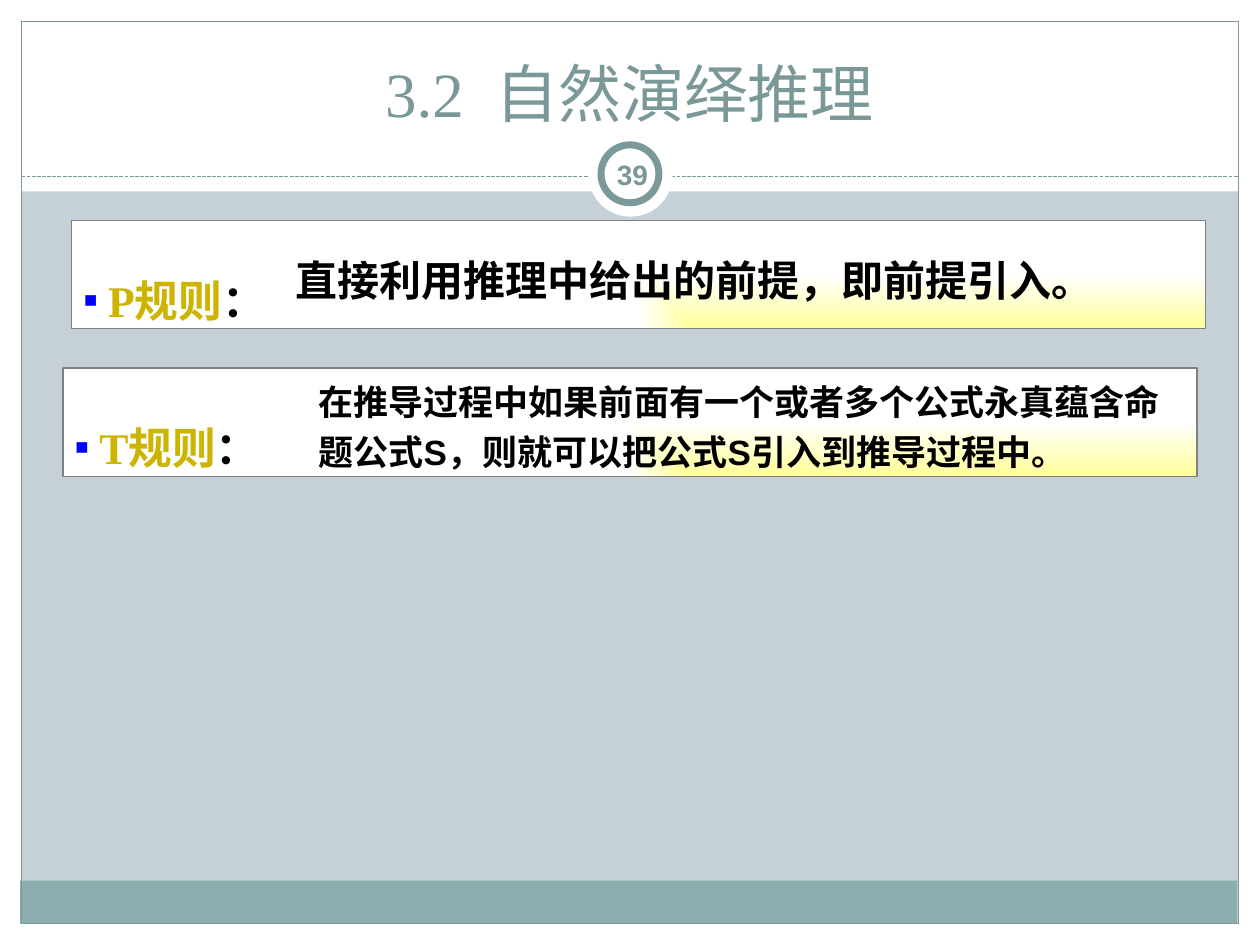
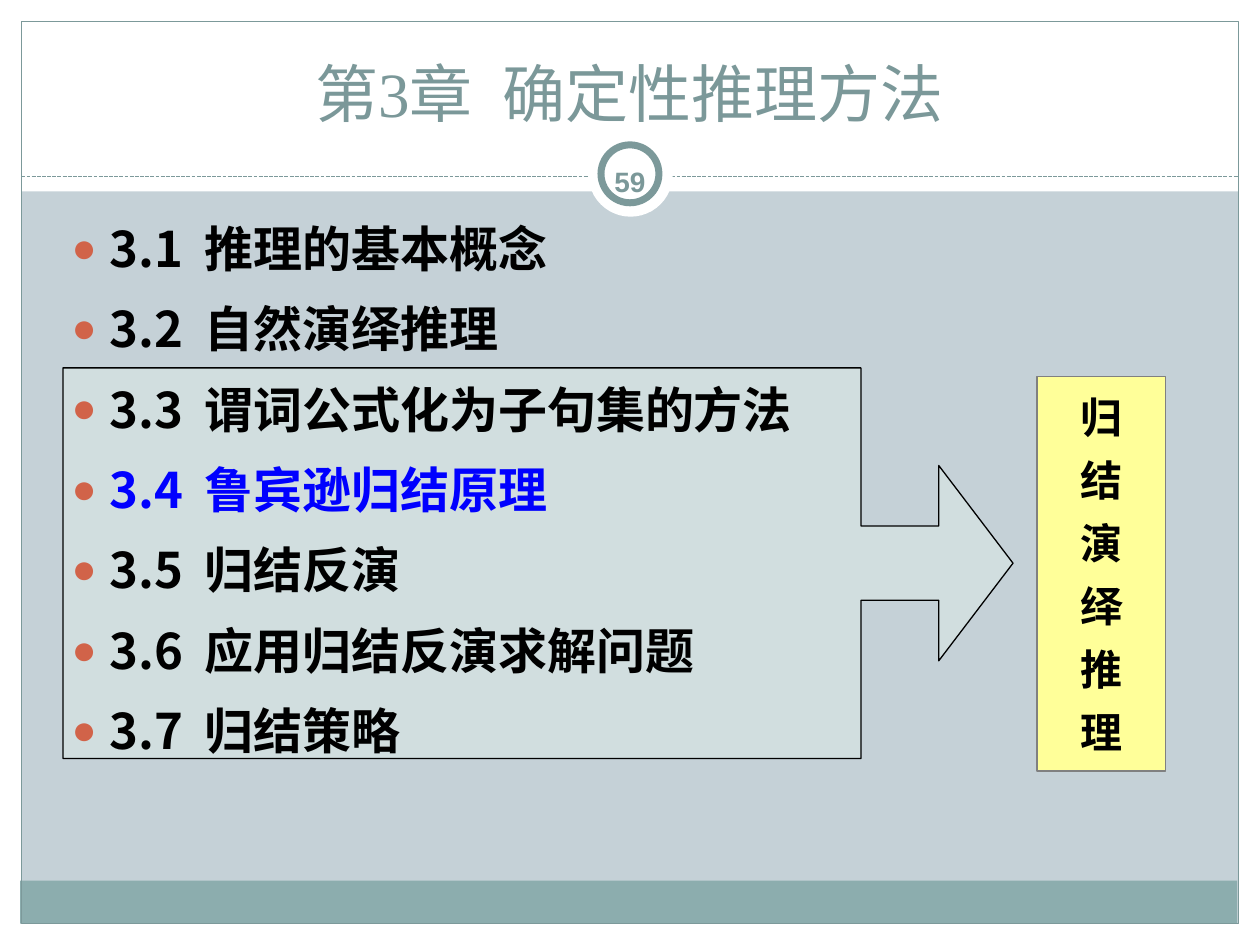
import pptx
import pptx.util
import pptx.dml.color
import pptx.enum.dml
import pptx.enum.shapes
import pptx.enum.text
import pptx.oxml.ns
from lxml import etree

RGB = pptx.dml.color.RGBColor
SHAPE = pptx.enum.shapes.MSO_SHAPE
ALIGN = pptx.enum.text.PP_ALIGN
ANCHOR = pptx.enum.text.MSO_ANCHOR
Pt = pptx.util.Pt
qn = pptx.oxml.ns.qn

PX = 9144  # EMU in one px, 100 px to the inch
WHITE = RGB(0xFF, 0xFF, 0xFF)
BLACK = RGB(0, 0, 0)
BLUE = RGB(0, 0, 0xFF)
GREY = RGB(0x80, 0x80, 0x80)
BACKDROP = RGB(0xC5, 0xD1, 0xD7)
BAND = RGB(0x8C, 0xAD, 0xAE)
FRAME = RGB(0x7C, 0x99, 0x9A)
TITLE = RGB(0x7B, 0x98, 0x99)
GOLD = RGB(0xCC, 0xB4, 0x00)
YELLOW = RGB(0xFF, 0xFF, 0x99)
CALLOUT = RGB(0xD1, 0xDE, 0xDF)
BULLET = RGB(0xD1, 0x63, 0x49)
CJK_FONT = "Noto Sans CJK SC"


def add_box(slide, kind, place, fill=None, line=None, width=0.75):
    """Add a preset shape, or a text box when kind is None."""
    place = [value * PX for value in place]
    if kind is None:
        box = slide.shapes.add_textbox(*place)
    else:
        box = slide.shapes.add_shape(kind, *place)
        box.shadow.inherit = False
        if fill is None:
            box.fill.background()
        else:
            box.fill.solid()
            box.fill.fore_color.rgb = fill
        if line is None:
            box.line.fill.background()
        else:
            box.line.color.rgb = line
            box.line.width = Pt(width)
    box.text_frame.word_wrap = True
    return box


def write(para, pieces, color, layout=None, bullet=None, **font):
    """Fill a paragraph; a piece is a text, or (text, color, extra spacing)."""
    props = para._p.get_or_add_pPr()
    if bullet:
        sign, bullet_color, percent, indent = bullet
        props.set("marL", str(indent * PX))
        props.set("indent", str(-indent * PX))
        tint = etree.SubElement(props, qn("a:buClr"))
        etree.SubElement(tint, qn("a:srgbClr")).set("val", str(bullet_color))
        etree.SubElement(props, qn("a:buSzPct")).set("val", str(percent * 1000))
        etree.SubElement(props, qn("a:buFont")).set("typeface", "Arial")
        etree.SubElement(props, qn("a:buChar")).set("char", sign)
    for key, value in (layout or {}).items():
        setattr(para, key, value)
    for piece in pieces:
        text, own_color, spacing = (piece, color, 0) if isinstance(piece, str) else piece
        span = para.add_run()
        span.text = text
        for key, value in font.items():
            setattr(span.font, key, value)
        span.font.color.rgb = own_color
        run_props = span._r.get_or_add_rPr()
        if spacing:
            run_props.set("spc", str(spacing * 100))
        etree.SubElement(run_props, qn("a:ea")).set("typeface", CJK_FONT)


deck = pptx.Presentation()
deck.slide_width, deck.slide_height = 1000 * PX, 750 * PX

# Background, frame and divider that both slides share
slides = []
for index in range(2):
    slide = deck.slides.add_slide(deck.slide_layouts[6])
    slides.append(slide)
    slide.background.fill.solid()
    slide.background.fill.fore_color.rgb = BACKDROP
    for place, color in [
        ((0, 733, 1000, 17), WHITE),
        ((0, 0, 1000, 152), WHITE),
        ((0, 0, 17, 750), WHITE),
        ((983, 0, 17, 750), WHITE),
        ((16, 699, 966, 34), BAND),
    ]:
        add_box(slide, SHAPE.RECTANGLE, place, color)
    add_box(slide, SHAPE.RECTANGLE, (17, 17, 966, 716), line=FRAME)
    divider = slide.shapes.add_connector(
        pptx.enum.shapes.MSO_CONNECTOR.STRAIGHT, 17 * PX, 140 * PX, 983 * PX, 140 * PX)
    divider.line.color.rgb = FRAME
    divider.line.width = Pt(0.75)
    divider.line.dash_style = pptx.enum.dml.MSO_LINE.SQUARE_DOT
    etree.SubElement(divider._element.spPr, qn("a:effectLst"))
    add_box(slide, SHAPE.OVAL, (467, 105, 67, 67), WHITE)
    add_box(slide, SHAPE.OVAL, (477, 115, 46, 46), WHITE, FRAME, 4)

# Titles and slide numbers
for slide, head, tail, number, place in [
    (slides[0], "3.2", "自然演绎推理", "39", (477, 112, 50, 48)),
    (slides[1], "第3章", "确定性推理方法", "59", (475, 117, 50, 48)),
]:
    box = add_box(slide, None, (33, 25, 933, 83))
    box.text_frame.vertical_anchor = ANCHOR.BOTTOM
    write(box.text_frame.paragraphs[0], [head, (" ", TITLE, 9), tail], TITLE,
          {"alignment": ALIGN.CENTER}, size=Pt(36), name="Times New Roman")
    box = add_box(slide, None, place)
    for side in ("left", "top", "right", "bottom"):
        setattr(box.text_frame, "margin_" + side, 5 * PX)
    box.text_frame.vertical_anchor = ANCHOR.MIDDLE
    write(box.text_frame.paragraphs[0], [number], TITLE,
          {"alignment": ALIGN.CENTER, "line_spacing": 1.2},
          size=Pt(16), name="Arial", bold=True)

# Slide 1: rule panels, yellow in the lower right corner
for rule, left, top in [("T规则", 50, 292), ("P规则", 57, 175)]:
    panel = add_box(slides[0], SHAPE.RECTANGLE, (left, top, 900, 86), WHITE, GREY)
    panel.fill.gradient()
    for stop, color, position in zip(panel.fill.gradient_stops, (YELLOW, WHITE), (0, 1)):
        stop.color.rgb = color
        stop.position = position
    gradient = panel._element.spPr.find(qn("a:gradFill"))
    gradient.remove(gradient.find(qn("a:lin")))
    shade = etree.SubElement(gradient, qn("a:path"), {"path": "rect"})
    etree.SubElement(shade, qn("a:fillToRect"), {"l": "100000", "t": "100000"})
    panel.text_frame.vertical_anchor = ANCHOR.BOTTOM
    panel.text_frame.margin_bottom = 2 * PX
    write(panel.text_frame.paragraphs[0], [rule, ("：", BLACK, 0)], GOLD,
          {"alignment": ALIGN.LEFT}, ("■", BLUE, 50, 19),
          size=Pt(25), name="Times New Roman", bold=True)

# Slide 1: what the rules say
for text, place, size, wrap in [
    ("直接利用推理中给出的前提，即前提引入。", (225, 189, 663, 59), 24, False),
    ("在推导过程中如果前面有一个或者多个公式永真蕴含命题公式S，则就可以把公式S引入到推导过程中。",
     (243, 290, 710, 91), 20, True),
]:
    box = add_box(slides[0], None, place)
    box.text_frame.word_wrap = wrap
    write(box.text_frame.paragraphs[0], [text], BLACK, {"line_spacing": 1.2},
          size=Pt(size), name="Arial", bold=True)

# Slide 2: callout around 3.3 to 3.7, pointing at the upright label
callout = add_box(slides[1], SHAPE.RIGHT_ARROW_CALLOUT, (50, 292, 754, 310), CALLOUT, BLACK)
for index, value in enumerate((0.19, 0.25, 0.19, 0.84)):
    callout.adjustments[index] = value
label = add_box(slides[1], SHAPE.RECTANGLE, (823, 299, 102, 313), YELLOW, GREY)
label.text_frame.vertical_anchor = ANCHOR.MIDDLE
for index, character in enumerate("归结演绎推理"):
    para = label.text_frame.add_paragraph() if index else label.text_frame.paragraphs[0]
    write(para, [character], BLACK,
          {"alignment": ALIGN.CENTER, "space_before": Pt(7.2 if index else 0)},
          size=Pt(24), name="Arial", bold=True)

# Slide 2: sections of the chapter, the current one in blue
sections = ["推理的基本概念", "自然演绎推理", "谓词公式化为子句集的方法", "鲁宾逊归结原理",
            "归结反演", "应用归结反演求解问题", "归结策略"]
body = add_box(slides[1], None, (47, 159, 945, 591))
for index, section in enumerate(sections):
    para = body.text_frame.add_paragraph() if index else body.text_frame.paragraphs[0]
    color = BLUE if section == "鲁宾逊归结原理" else BLACK
    write(para, [f"3.{index + 1}", (" ", color, 6), section], color,
          {"line_spacing": 1.2, "space_before": Pt(5.6 if index else 0)},
          ("●", BULLET, 85, 30), size=Pt(28), name=CJK_FONT, bold=True)

deck.save("out.pptx")
